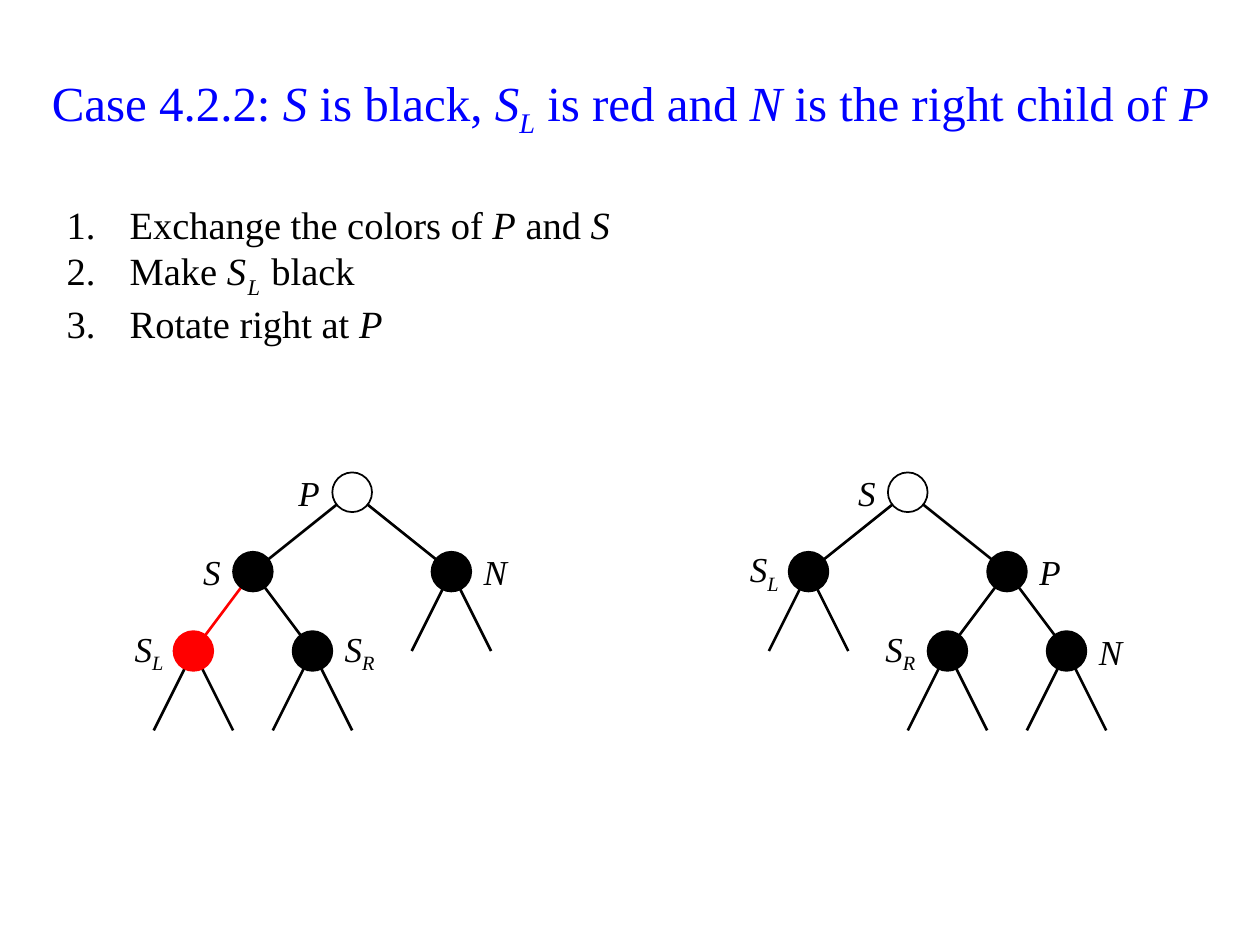
from lxml.etree import SubElement
from pptx import Presentation
from pptx.dml.color import RGBColor
from pptx.enum.shapes import MSO_CONNECTOR, MSO_SHAPE
from pptx.enum.text import MSO_ANCHOR, MSO_AUTO_SIZE, PP_ALIGN
from pptx.oxml.ns import qn
from pptx.util import Pt

COLORS = {"title": "0000FF", "black": "000000", "white": "FFFFFF", "red": "FF0000"}
FONT = "Times New Roman"
UNIT = 11.34  # half a node's width; every tree position is a multiple of it
LEVEL = 4 * UNIT
LABEL_WIDTH, LABEL_HEIGHT = 3 * UNIT, 4 * UNIT

# Each node: name, parent, horizontal offset from parent in units, fill, label side
BEFORE = [
    ("P", None, 0, "white", "left"),
    ("S", "P", -5, "black", "left"),
    ("N", "P", 5, "black", "right"),
    ("S_L", "S", -3, "red", "left"),
    ("S_R", "S", 3, "black", "right"),
]
AFTER = [
    ("S", None, 0, "white", "left"),
    ("S_L", "S", -5, "black", "left"),
    ("P", "S", 5, "black", "right"),
    ("S_R", "P", -3, "black", "left"),
    ("N", "P", 3, "black", "right"),
]


def rgb(name):
    return RGBColor.from_string(COLORS[name])


def write(paragraph, text, size, color="black", align=PP_ALIGN.LEFT, symbol_spacing=0):
    """Write text in which *S_L* marks an italic symbol with a subscript."""
    paragraph.alignment = align
    for index, part in enumerate(text.split("*")):
        symbol, _, subscript = part.partition("_")
        for content, baseline in ((symbol, 0), (subscript, -25000)):
            if not content:
                continue
            run = paragraph.add_run()
            run.text = content
            font = run.font
            font.name, font.size = FONT, Pt(size)
            font.italic = index % 2 == 1
            font.color.rgb = rgb(color)
            properties = run._r.get_or_add_rPr()
            if baseline:
                properties.set("baseline", str(baseline))
            if symbol_spacing and subscript:
                properties.set("spc", str(symbol_spacing * 100))


def place_title(slide, left, top, width, height):
    title = slide.shapes.title
    title.left, title.top, title.width, title.height = map(Pt, (left, top, width, height))
    frame = title.text_frame
    frame.auto_size = MSO_AUTO_SIZE.NONE
    frame.vertical_anchor = MSO_ANCHOR.MIDDLE
    write(frame.paragraphs[0],
          "Case 4.2.2: *S* is black, *S_L* is red and *N* is the right child of *P*",
          size=28, color="title", align=PP_ALIGN.CENTER)


def add_steps(slide, left, top, width, height):
    frame = slide.shapes.add_textbox(*map(Pt, (left, top, width, height))).text_frame
    frame.word_wrap = True
    steps = ["Exchange the colors of *P* and *S*", "Make *S_L* black", "Rotate right at *P*"]
    for index, step in enumerate(steps):
        paragraph = frame.add_paragraph() if index else frame.paragraphs[0]
        properties = paragraph._p.get_or_add_pPr()
        properties.set("marL", str(Pt(36)))
        properties.set("indent", str(-Pt(36)))
        SubElement(properties, qn("a:buFont"), typeface=FONT)
        SubElement(properties, qn("a:buAutoNum"), type="arabicPeriod")
        write(paragraph, step, size=22, symbol_spacing=1)


def add_edge(slide, start, end, color="black"):
    edge = slide.shapes.add_connector(MSO_CONNECTOR.STRAIGHT, *map(Pt, (*start, *end)))
    edge.line.color.rgb = rgb(color)
    edge.line.width = Pt(1.5)
    SubElement(edge._element.spPr, qn("a:effectLst"))


def add_node(slide, x, y, color):
    node = slide.shapes.add_shape(
        MSO_SHAPE.OVAL, *map(Pt, (x - UNIT, y - UNIT, 2 * UNIT, 2 * UNIT)))
    node.shadow.inherit = False
    node.fill.solid()
    node.fill.fore_color.rgb = rgb(color)
    node.line.color.rgb = rgb("black" if color == "white" else color)
    node.line.width = Pt(1)


def add_label(slide, x, y, name, side):
    """Label the node centred at (x, y) on its left or right side."""
    on_left = side == "left"
    left = x - UNIT - LABEL_WIDTH if on_left else x + UNIT
    box = slide.shapes.add_textbox(
        *map(Pt, (left, y - LABEL_HEIGHT / 2, LABEL_WIDTH, LABEL_HEIGHT)))
    frame = box.text_frame
    frame.word_wrap = True
    frame.vertical_anchor = MSO_ANCHOR.MIDDLE
    if name == "S_L":
        frame.margin_right = Pt(5.75)
    write(frame.paragraphs[0], f"*{name}*", size=20,
          align=PP_ALIGN.RIGHT if on_left else PP_ALIGN.LEFT)


def add_tree(slide, root_x, root_y, nodes):
    centers = {}
    for name, parent, offset, _, _ in nodes:
        x, y = centers.get(parent, (root_x, root_y - LEVEL))
        centers[name] = (x + offset * UNIT, y + LEVEL)

    parents = {node[1] for node in nodes}
    for name, parent, _, color, _ in nodes:
        x, y = centers[name]
        if parent:
            add_edge(slide, centers[parent], (x, y), color)
        if name not in parents:
            for direction in (-1, 1):
                add_edge(slide, (x, y), (x + direction * 2 * UNIT, y + LEVEL))

    for name, _, _, color, side in nodes:
        add_node(slide, *centers[name], color)
        add_label(slide, *centers[name], name, side)


def main():
    presentation = Presentation()
    presentation.slide_width, presentation.slide_height = Pt(720), Pt(540)
    slide = presentation.slides.add_slide(presentation.slide_layouts[5])
    place_title(slide, 20, 21, 680.5, 79)
    add_steps(slide, 31, 111.5, 657.5, 90.5)
    add_tree(slide, 201.25, 281.3, BEFORE)
    add_tree(slide, 518.75, 281.3, AFTER)
    presentation.save("out.pptx")


if __name__ == "__main__":
    main()
